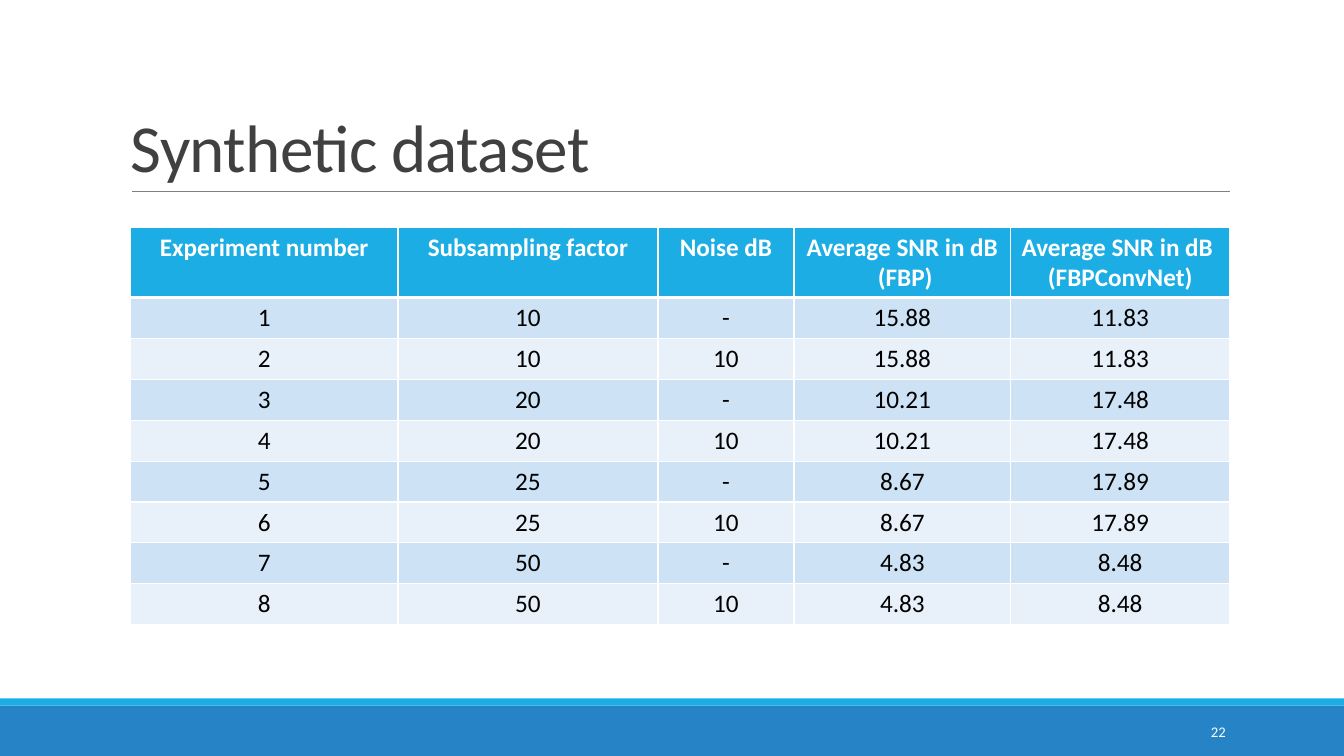
"""Build the slide that tabulates SNR results on the synthetic dataset."""

import dataclasses
import typing

import pptx
import pptx.dml.color
import pptx.enum.shapes
import pptx.enum.text
import pptx.oxml
import pptx.oxml.ns
import pptx.presentation
import pptx.shapes.autoshape
import pptx.slide
import pptx.table
import pptx.text.text
import pptx.util

Cm = pptx.util.Cm
Pt = pptx.util.Pt
Align = pptx.enum.text.PP_ALIGN
Anchor = pptx.enum.text.MSO_ANCHOR


@dataclasses.dataclass(frozen=True)
class Theme:
    font: str = "Calibri"
    title_size: float = 48
    table_size: float = 18
    number_size: float = 10.5
    white: str = "FFFFFF"
    black: str = "000000"
    title: str = "404040"
    rule: str = "808080"
    accent: str = "1CADE4"
    footer: str = "2683C6"
    stripes: tuple[str, str] = ("CDE3F5", "E8F1FA")


class Frame(typing.NamedTuple):
    left: float
    top: float
    width: float
    height: float

    def lengths(self) -> list[pptx.util.Length]:
        return [Cm(value) for value in self]


class Band(typing.NamedTuple):
    frame: Frame
    color: str


class Label(typing.NamedTuple):
    frame: Frame
    text: str
    size: float
    color: str
    align: Align
    anchor: Anchor
    line_spacing: float = 1.0
    tracking: int = 0


class Result(typing.NamedTuple):
    factor: str
    fbp: str
    network: str


THEME = Theme()
PAGE_WIDTH, PAGE_HEIGHT = 33.87, 19.05
BANDS = (
    Band(Frame(0, 17.78, PAGE_WIDTH, 1.27), THEME.footer),
    Band(Frame(0, 17.6, PAGE_WIDTH, 0.18), THEME.accent),
)
LABELS = (
    Label(Frame(3.05, 0.79, 27.94, 4.04), "Synthetic dataset", THEME.title_size,
          THEME.title, Align.LEFT, Anchor.BOTTOM, 0.85, -50),
    Label(Frame(27.51, 17.93, 3.63, 1.02), "22", THEME.number_size,
          THEME.white, Align.RIGHT, Anchor.MIDDLE),
)
TABLE_LEFT, TABLE_TOP = 3.29, 5.72
COLUMN_WIDTHS = (6.74, 6.55, 3.43, 5.46, 5.52)
HEADER_HEIGHT, ROW_HEIGHT = 1.78, 1.03
HEADERS = (
    "Experiment number",
    "Subsampling factor",
    "Noise dB",
    "Average SNR in dB\n (FBP)",
    "Average SNR in dB \n(FBPConvNet)",
)
NOISE_LEVELS = ("-", "10")
RESULTS = (
    Result("10", "15.88", "11.83"),
    Result("20", "10.21", "17.48"),
    Result("25", "8.67", "17.89"),
    Result("50", "4.83", "8.48"),
)


def rgb(color: str) -> pptx.dml.color.RGBColor:
    return pptx.dml.color.RGBColor.from_string(color)


def add_span(para: pptx.text.text._Paragraph, text: str, size: float,
             color: str, bold: bool = False) -> pptx.text.text._Run:
    span = para.add_run()
    span.text = text
    span.font.name = THEME.font
    span.font.size = Pt(size)
    span.font.bold = bold
    span.font.color.rgb = rgb(color)
    return span


def draw_band(page: pptx.slide.Slide, band: Band) -> None:
    box = page.shapes.add_shape(
        pptx.enum.shapes.MSO_SHAPE.RECTANGLE, *band.frame.lengths())
    box.shadow.inherit = False
    box.fill.solid()
    box.fill.fore_color.rgb = rgb(band.color)
    box.line.fill.background()


def draw_rule(page: pptx.slide.Slide) -> None:
    rule = page.shapes.add_connector(
        pptx.enum.shapes.MSO_CONNECTOR.STRAIGHT,
        Cm(3.33), Cm(4.83), Cm(31), Cm(4.83))
    rule.line.color.rgb = rgb(THEME.rule)
    rule.line.width = Pt(0.5)
    effects = pptx.oxml.parse_xml(
        f"<a:effectLst {pptx.oxml.ns.nsdecls('a')}/>")
    rule._element.spPr.append(effects)


def draw_label(page: pptx.slide.Slide, label: Label) -> None:
    frame = page.shapes.add_textbox(*label.frame.lengths()).text_frame
    frame.word_wrap = True
    frame.vertical_anchor = label.anchor
    para = frame.paragraphs[0]
    para.alignment = label.align
    para.line_spacing = label.line_spacing
    span = add_span(para, label.text, label.size, label.color)
    if label.tracking:
        span.font._element.set("spc", str(label.tracking))


def set_borders(cell: pptx.table._Cell, top: float, bottom: float) -> None:
    properties = cell._tc.get_or_add_tcPr()
    for side, width in (("L", 1), ("R", 1), ("T", top), ("B", bottom)):
        properties.append(pptx.oxml.parse_xml(
            f'<a:ln{side} {pptx.oxml.ns.nsdecls("a")} w="{Pt(width)}">'
            f'<a:solidFill><a:srgbClr val="{THEME.white}"/></a:solidFill>'
            f"</a:ln{side}>"))


def fill_cell(cell: pptx.table._Cell, text: str, row: int) -> None:
    header = row == 0
    set_borders(cell, 3 if row == 1 else 1, 3 if header else 1)
    cell.fill.solid()
    cell.fill.fore_color.rgb = rgb(
        THEME.accent if header else THEME.stripes[(row - 1) % 2])
    para = cell.text_frame.paragraphs[0]
    para.alignment = Align.CENTER
    for index, line in enumerate(text.split("\n")):
        if index:
            para.add_line_break()
        add_span(para, line, THEME.table_size,
                 THEME.white if header else THEME.black, header)


def table_rows() -> list[tuple[str, ...]]:
    pairs = [(result, noise) for result in RESULTS for noise in NOISE_LEVELS]
    return [HEADERS] + [
        (str(number), result.factor, noise, result.fbp, result.network)
        for number, (result, noise) in enumerate(pairs, 1)]


def draw_table(page: pptx.slide.Slide) -> None:
    rows = table_rows()
    heights = [HEADER_HEIGHT] + [ROW_HEIGHT] * (len(rows) - 1)
    frame = Frame(TABLE_LEFT, TABLE_TOP, sum(COLUMN_WIDTHS), sum(heights))
    table = page.shapes.add_table(
        len(rows), len(COLUMN_WIDTHS), *frame.lengths()).table
    for column, width in zip(table.columns, COLUMN_WIDTHS):
        column.width = Cm(width)
    for index, (texts, height) in enumerate(zip(rows, heights)):
        table.rows[index].height = Cm(height)
        for cell, text in zip(table.rows[index].cells, texts):
            fill_cell(cell, text, index)


def main() -> None:
    deck = pptx.Presentation()
    deck.slide_width, deck.slide_height = Cm(PAGE_WIDTH), Cm(PAGE_HEIGHT)
    page = deck.slides.add_slide(deck.slide_layouts[6])
    for band in BANDS:
        draw_band(page, band)
    draw_rule(page)
    for label in LABELS:
        draw_label(page, label)
    draw_table(page)
    deck.save("out.pptx")


if __name__ == "__main__":
    main()
